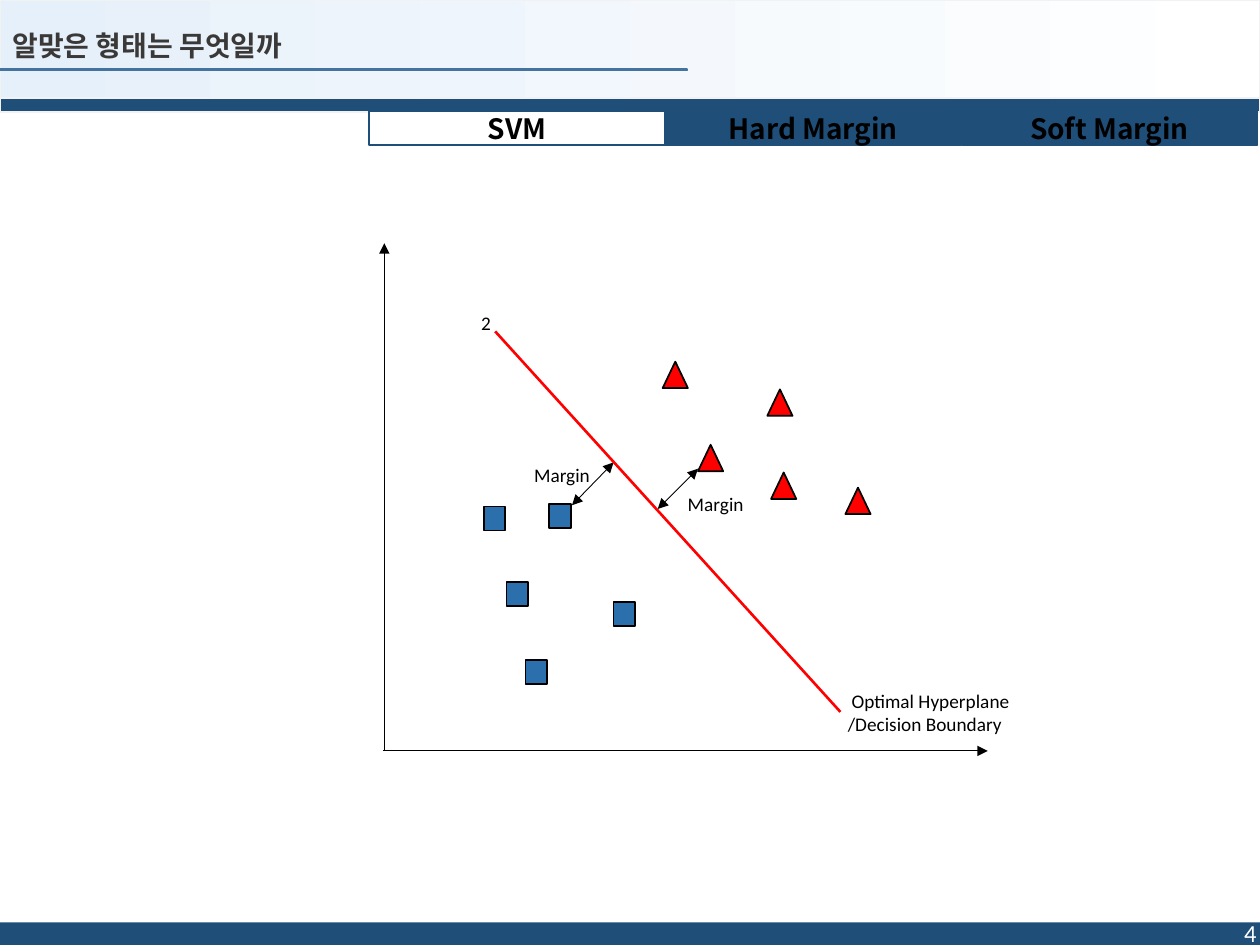
from dataclasses import dataclass
from typing import Optional

from lxml.etree import SubElement
from pptx import Presentation
from pptx.dml.color import RGBColor
from pptx.enum.shapes import MSO_CONNECTOR, MSO_SHAPE
from pptx.enum.text import MSO_ANCHOR as Anchor, MSO_AUTO_SIZE as AutoSize, PP_ALIGN as Align
from pptx.oxml.ns import qn
from pptx.util import Inches, Pt

BLACK = RGBColor(0x00, 0x00, 0x00)
WHITE = RGBColor(0xFF, 0xFF, 0xFF)
PALE_GRAY = RGBColor(0xF2, 0xF2, 0xF2)
CHARCOAL = RGBColor(0x3B, 0x38, 0x38)
NAVY = RGBColor(0x1F, 0x4E, 0x79)
PALE_BLUE = RGBColor(0xE6, 0xF0, 0xFA)
RULE_BLUE = RGBColor(0x5B, 0x9B, 0xD5)
RULE_EDGE = RGBColor(0x43, 0x73, 0x9E)
SQUARE_BLUE = RGBColor(0x2C, 0x6F, 0xAD)
RED = RGBColor(0xFF, 0x00, 0x00)

KOREAN_FONT = "Noto Sans CJK KR"
LABEL_FONT = {"name": "Calibri", "size": Pt(11)}
TAB_FONT = {"name": KOREAN_FONT, "size": Pt(16), "bold": True}
TITLE_FONT = {"name": "Arial", "size": Pt(16), "bold": True}
NUMBER_FONT = {"name": "Calibri", "size": Pt(14)}


@dataclass
class Block:
    left: float
    top: float
    width: float
    height: float
    fill: Optional[RGBColor]
    line: Optional[RGBColor] = None
    kind: MSO_SHAPE = MSO_SHAPE.RECTANGLE


@dataclass
class Segment:
    start: tuple[float, float]
    end: tuple[float, float]
    color: RGBColor = BLACK
    width: float = 0.5
    arrows: tuple[str, ...] = ()


@dataclass
class Label:
    left: float
    top: float
    width: float
    height: float
    lines: tuple[str, ...]


def style_font(font, formats: dict, color: RGBColor) -> None:
    for name, value in formats.items():
        setattr(font, name, value)
    font.color.rgb = color


def draw_block(page, block: Block):
    shape = page.shapes.add_shape(block.kind, Inches(block.left), Inches(block.top),
                                  Inches(block.width), Inches(block.height))
    shape.shadow.inherit = False
    if block.fill is not None:
        shape.fill.solid()
        shape.fill.fore_color.rgb = block.fill
    if block.line is None:
        shape.line.fill.background()
    else:
        shape.line.color.rgb = block.line
        shape.line.width = Pt(1)
    return shape


def draw_segment(page, segment: Segment) -> None:
    ends = [Inches(value) for value in segment.start + segment.end]
    connector = page.shapes.add_connector(MSO_CONNECTOR.STRAIGHT, *ends)
    connector.line.color.rgb = segment.color
    connector.line.width = Pt(segment.width)
    outline = connector.line._get_or_add_ln()
    for arrow in segment.arrows:
        SubElement(outline, qn(f"a:{arrow}"), type="triangle")
    SubElement(connector._element.spPr, qn("a:effectLst"))


def draw_label(page, label: Label):
    box = page.shapes.add_textbox(Inches(label.left), Inches(label.top),
                                  Inches(label.width), Inches(label.height))
    frame = box.text_frame
    frame.word_wrap = True
    frame.auto_size = AutoSize.SHAPE_TO_FIT_TEXT
    frame.text = "\n".join(label.lines)
    for para in frame.paragraphs:
        style_font(para.runs[0].font, LABEL_FONT, BLACK)
    return box


def draw_tab(page, index: int, name: str, fill: RGBColor) -> None:
    width = 2.35
    tab = draw_block(page, Block(2.93 + index * width, 0.88, width, 0.27, fill, NAVY))
    tab.text_frame.vertical_anchor = Anchor.MIDDLE
    para = tab.text_frame.paragraphs[0]
    para.alignment = Align.CENTER
    span = para.add_run()
    span.text = name
    style_font(span.font, TAB_FONT, BLACK)


def draw_frame(page) -> None:
    """Draw the header band, footer, page number, tabs and title rule."""
    header = draw_block(page, Block(0, 0, 10, 0.78, None, PALE_GRAY))
    header.fill.gradient()
    header.fill.gradient_angle = 180
    for stop, color in zip(header.fill.gradient_stops, (WHITE, PALE_BLUE)):
        stop.color.rgb = color

    draw_block(page, Block(0, 7.32, 10, 0.19, NAVY))
    number = page.shapes.add_textbox(Inches(7.82), Inches(7.2), Inches(2.25), Inches(0.4))
    number.text_frame.word_wrap = True
    number.text_frame.vertical_anchor = Anchor.MIDDLE
    para = number.text_frame.paragraphs[0]
    para.alignment = Align.RIGHT
    span = para.add_run()
    span.text = "4"
    style_font(span.font, NUMBER_FONT, WHITE)

    draw_block(page, Block(0, 0.78, 10, 0.11, NAVY, PALE_GRAY))
    for index, name, fill in ((1, "Hard Margin", NAVY), (2, "Soft Margin", NAVY),
                              (0, "SVM", WHITE)):
        draw_tab(page, index, name, fill)
    draw_block(page, Block(0, 0.55, 5.45, 0.01, RULE_BLUE, RULE_EDGE))


def write_title(page) -> None:
    title = page.shapes.title
    title.left, title.top = Inches(0), Inches(0.21)
    title.width, title.height = Inches(5.36), Inches(0.35)
    title.text_frame.vertical_anchor = Anchor.TOP
    para = title.text_frame.paragraphs[0]
    para.alignment = Align.LEFT
    para.line_spacing = 0.9
    span = para.add_run()
    span.text = "알맞은 형태는 무엇일까"
    style_font(span.font, TITLE_FONT, CHARCOAL)
    SubElement(span.font._element, qn("a:ea"), typeface=KOREAN_FONT)


def draw_diagram(page) -> None:
    both = ("headEnd", "tailEnd")
    for segment in (
        Segment((4.54, 4.01), (4.87, 3.67), arrows=both),
        Segment((5.22, 4.04), (5.54, 3.72), arrows=both),
        Segment((3.04, 5.96), (7.84, 5.96), arrows=("tailEnd",)),
        Segment((3.05, 5.96), (3.05, 1.93), arrows=("tailEnd",)),
        Segment((3.93, 2.63), (6.67, 5.65), RED, 1.5),
    ):
        draw_segment(page, segment)

    for left, top in ((5.26, 2.87), (5.54, 3.53), (6.12, 3.75), (6.71, 3.87), (6.09, 3.09)):
        draw_block(page, Block(left, top, 0.2, 0.21, RED, BLACK, MSO_SHAPE.ISOSCELES_TRIANGLE))
    for left, top in ((3.84, 4.02), (4.02, 4.62), (4.17, 5.24), (4.87, 4.78), (4.36, 4)):
        draw_block(page, Block(left, top, 0.17, 0.19, SQUARE_BLUE, BLACK))

    for label in (
        Label(4.14, 3.63, 0.69, 0.29, ("Margin",)),
        Label(5.36, 3.86, 0.69, 0.29, ("Margin",)),
        Label(3.72, 2.42, 0.3, 0.29, ("2",)),
    ):
        draw_label(page, label)
    boundary = draw_label(page, Label(6.63, 5.42, 2.39, 0.47,
                                      ("Optimal Hyperplane", "/Decision Boundary")))
    first_line = boundary.text_frame.paragraphs[0]
    first_line._p.get_or_add_pPr().set("indent", str(Inches(0.03)))


def main() -> None:
    deck = Presentation()
    deck.slide_width, deck.slide_height = Inches(10), Inches(7.5)
    title_only = deck.slide_layouts[5]
    page = deck.slides.add_slide(title_only)
    draw_frame(page)
    write_title(page)
    # Bring the title in front of the header band.
    page.shapes._spTree.append(page.shapes.title._element)
    draw_diagram(page)
    deck.save("out.pptx")


if __name__ == "__main__":
    main()
